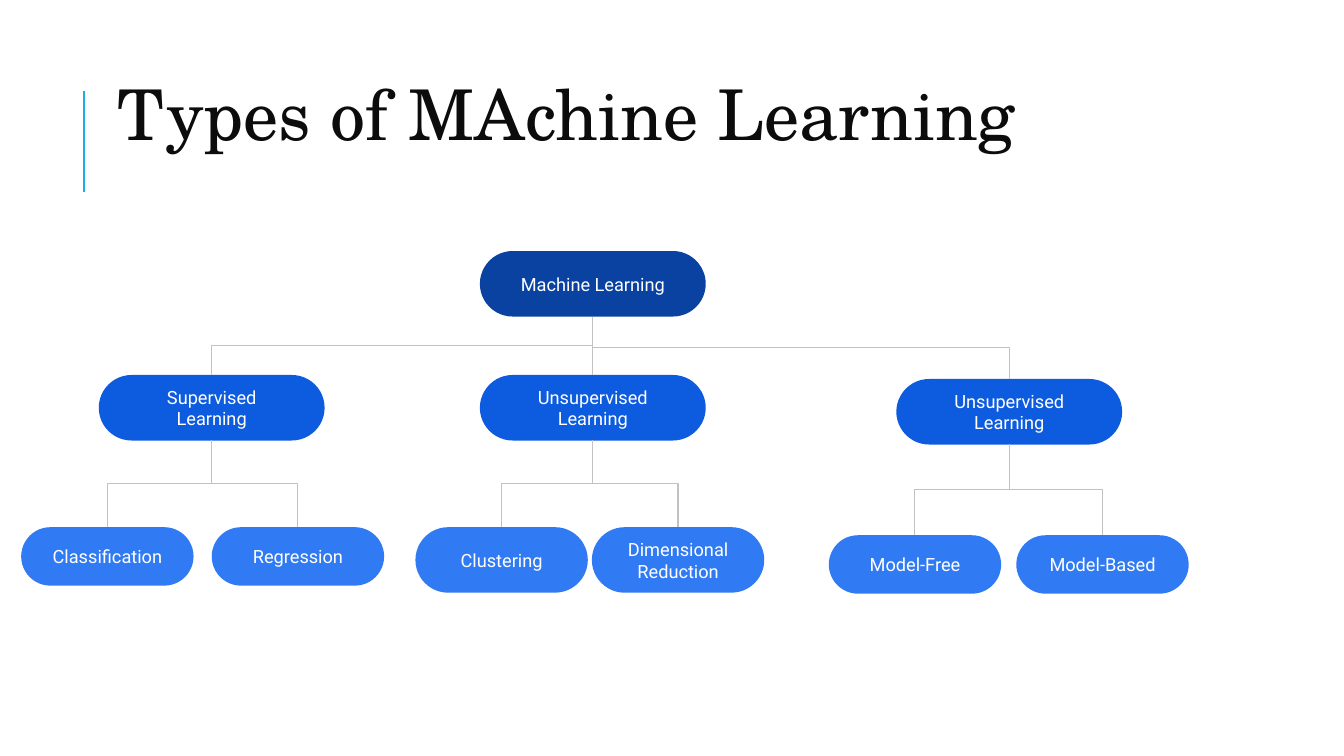
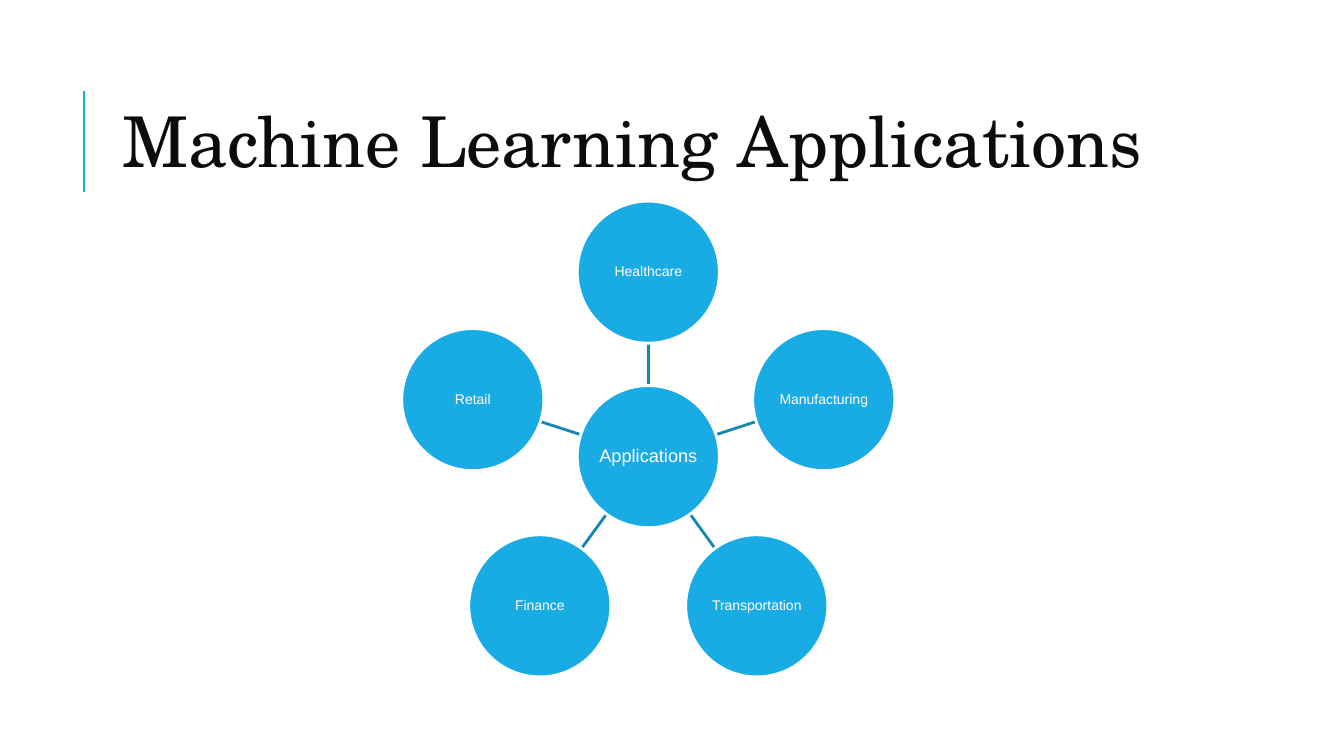
"""Build two slides: a tree of machine learning types and a wheel of applications."""
from math import cos, radians, sin

from lxml.etree import SubElement
from pptx import Presentation
from pptx.dml.color import RGBColor
from pptx.enum.shapes import MSO_CONNECTOR as LINK, MSO_SHAPE as SHAPE
from pptx.enum.text import MSO_ANCHOR as ANCHOR, PP_ALIGN as ALIGN
from pptx.oxml.ns import qn
from pptx.util import Inches, Pt

WHITE = RGBColor(0xFF, 0xFF, 0xFF)
INK = RGBColor(0x0C, 0x0C, 0x0C)
ACCENT = RGBColor(0x1C, 0xAD, 0xE4)
ROOT_BLUE = RGBColor(0x09, 0x42, 0xA1)
BRANCH_BLUE = RGBColor(0x0D, 0x5C, 0xDF)
LEAF_BLUE = RGBColor(0x30, 0x7A, 0xF3)
LINK_GREY = RGBColor(0xC2, 0xC2, 0xC2)
CIRCLE_BLUE = RGBColor(0x19, 0xAC, 0xE4)
SPOKE_BLUE = RGBColor(0x14, 0x88, 0xB3)


def add_text(box, text, font, size, color, align, spacing, inset_x, inset_y, wrap=True):
    """Write styled text, vertically centred, into a box."""
    frame = box.text_frame
    frame.text = text
    settings = {
        "word_wrap": wrap,
        "vertical_anchor": ANCHOR.MIDDLE,
        "margin_left": Inches(inset_x),
        "margin_right": Inches(inset_x),
        "margin_top": Inches(inset_y),
        "margin_bottom": Inches(inset_y),
    }
    for name, value in settings.items():
        setattr(frame, name, value)
    for para in frame.paragraphs:
        para.alignment = align
        para.line_spacing = spacing
        for span in para.runs:
            for name, value in {"name": font, "size": Pt(size)}.items():
                setattr(span.font, name, value)
            span.font.color.rgb = color


def add_line(page, kind, x1, y1, x2, y2, color, width):
    """Draw a connector without a shadow."""
    line = page.shapes.add_connector(kind, Inches(x1), Inches(y1), Inches(x2), Inches(y2))
    line.line.color.rgb = color
    line.line.width = Pt(width)
    SubElement(line.element.spPr, qn("a:effectLst"))
    return line


deck = Presentation()
deck.slide_width, deck.slide_height = Inches(13.33), Inches(7.5)

titles = [
    ("Types of MAchine Learning", 1.07, 0.37),
    ("Machine Learning Applications", 1.12, 0.64),
]
pages = []
for title, left, top in titles:
    page = deck.slides.add_slide(deck.slide_layouts[6])
    add_line(page, LINK.STRAIGHT, 0.83, 1.9, 0.83, 0.9, ACCENT, 1.5)
    box = page.shapes.add_textbox(Inches(left), Inches(top), Inches(10.63), Inches(1.64))
    add_text(box, title, "TeX Gyre Schola", 50, INK, ALIGN.LEFT, 0.8, 0.1, 0.05)
    pages.append(page)
tree_page, wheel_page = pages

BRANCH_WIDTH, BRANCH_HEIGHT, LEAF_WIDTH = 2.24, 0.65, 1.71
branches = [
    ("Supervised\nLearning", 0.98, 3.72, 5.23, 0.58,
     [("Classification", 0.21), ("Regression", 2.1)]),
    ("Unsupervised Learning", 4.76, 3.72, 5.23, 0.65,
     [("Clustering", 4.12), ("Dimensional Reduction", 5.87)]),
    ("Unsupervised Learning", 8.89, 3.76, 5.31, 0.58,
     [("Model-Free", 8.22), ("Model-Based", 10.08)]),
]
nodes = [("Machine Learning", 4.76, 2.49, BRANCH_WIDTH, BRANCH_HEIGHT, ROOT_BLUE, None)]
for label, left, top, leaf_top, leaf_height, leaves in branches:
    branch_index = len(nodes)
    nodes.append((label, left, top, BRANCH_WIDTH, BRANCH_HEIGHT, BRANCH_BLUE, 0))
    for leaf, leaf_left in leaves:
        nodes.append((leaf, leaf_left, leaf_top, LEAF_WIDTH, leaf_height, LEAF_BLUE, branch_index))

pills = []
for label, left, top, width, height, color, parent in nodes:
    pill = tree_page.shapes.add_shape(
        SHAPE.ROUNDED_RECTANGLE, Inches(left), Inches(top), Inches(width), Inches(height))
    pill.adjustments[0] = 0.5
    pill.shadow.inherit = False
    pill.fill.solid()
    pill.fill.fore_color.rgb = color
    pill.line.fill.background()
    add_text(pill, label, "Roboto", 13, WHITE, ALIGN.CENTER, 1.0, 0.13, 0.13)
    pills.append(pill)
    if parent is None:
        continue

    _, parent_left, parent_top, parent_width, parent_height, _, _ = nodes[parent]
    start_x, start_y = parent_left + parent_width / 2, parent_top + parent_height
    end_x = left + width / 2
    run, drop = end_x - start_x, top - start_y
    link = add_line(tree_page, LINK.ELBOW, start_x, start_y, end_x, top, LINK_GREY, 0.75)
    link.begin_connect(pills[parent], 2)
    link.end_connect(pill, 0)
    frame = {
        "left": (start_x + end_x - drop) / 2,
        "top": (start_y + top - abs(run)) / 2,
        "width": drop,
        "height": abs(run),
    }
    for name, value in frame.items():
        setattr(link, name, Inches(value))
    turn = link.element.spPr.find(qn("a:xfrm"))
    turn.set("rot", "5400000" if run < 0 else "16200000")
    turn.set("flipH", "0" if run < 0 else "1")

HUB_X, HUB_Y, RING, DIAMETER = 6.43, 4.53, 1.83, 1.41
SPOKE_START, SPOKE_END = DIAMETER / 2, RING - DIAMETER / 2
applications = ["Healthcare", "Manufacturing", "Transportation", "Finance", "Retail"]
circles = [("Applications", HUB_X, HUB_Y, 13)]
for index, label in enumerate(applications):
    angle = radians(360 / len(applications) * index - 90)
    across, down = cos(angle), sin(angle)
    add_line(wheel_page, LINK.STRAIGHT,
             HUB_X + SPOKE_START * across, HUB_Y + SPOKE_START * down,
             HUB_X + SPOKE_END * across, HUB_Y + SPOKE_END * down, SPOKE_BLUE, 2)
    circles.append((label, HUB_X + RING * across, HUB_Y + RING * down, 10))

for label, center_x, center_y, size in circles:
    circle = wheel_page.shapes.add_shape(
        SHAPE.OVAL, Inches(center_x - DIAMETER / 2), Inches(center_y - DIAMETER / 2),
        Inches(DIAMETER), Inches(DIAMETER))
    circle.shadow.inherit = False
    circle.fill.solid()
    circle.fill.fore_color.rgb = CIRCLE_BLUE
    circle.line.color.rgb = WHITE
    circle.line.width = Pt(2)
    add_text(circle, label, "Arial", size, WHITE, ALIGN.CENTER, 0.9, 0.01, 0.01, wrap=False)

deck.save("out.pptx")
